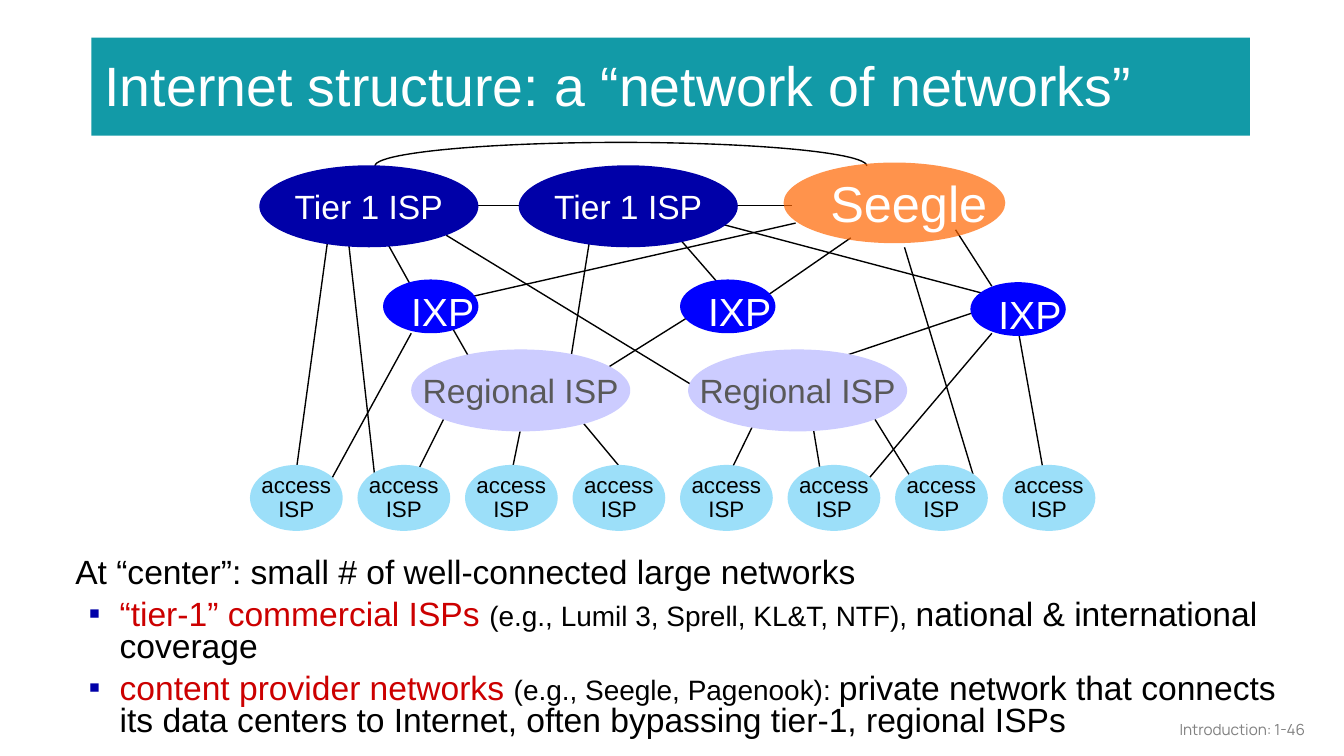
from lxml.etree import SubElement
from pptx import Presentation
from pptx.dml.color import RGBColor
from pptx.enum.shapes import MSO_CONNECTOR, MSO_SHAPE
from pptx.enum.text import MSO_ANCHOR, PP_ALIGN
from pptx.oxml.ns import qn
from pptx.util import Inches, Pt

COLORS = {
    "teal": "129AA7", "white": "FFFFFF", "black": "000000", "gray": "808080",
    "navy": "0000A8", "blue": "0000FF", "lavender": "CCCCFF", "slate": "595959",
    "sky": "9CDFF9", "orange": "FF6600", "red": "CC0000",
}


def color(name):
    return RGBColor.from_string(COLORS[name])


def add_box(kind, place, fill, lines, size=18, ink="white", font="Arial", **formats):
    """Add a shape, or a text box when kind is None; formats go to its paragraphs."""
    area = [Inches(value) for value in place]
    if kind is None:
        box = page.shapes.add_textbox(*area)
    else:
        box = page.shapes.add_shape(kind, *area)
        box.shadow.inherit = False
        box.line.fill.background()
        box.fill.solid()
        box.fill.fore_color.rgb = color(fill)
    frame = box.text_frame
    frame.word_wrap = False
    frame.vertical_anchor = MSO_ANCHOR.TOP if kind is None else MSO_ANCHOR.MIDDLE
    for number, line in enumerate(lines):
        para = frame.add_paragraph() if number else frame.paragraphs[0]
        for name, value in formats.items():
            setattr(para, name, value)
        span = para.add_run()
        span.text = line
        span.font.name, span.font.size = font, Pt(size)
        span.font.color.rgb = color(ink)
    return box


deck = Presentation()
deck.slide_width = Inches(10)
deck.slide_height = deck.slide_width * 9 // 16
page = deck.slides.add_slide(deck.slide_layouts[6])

# Title and page number
title = add_box(MSO_SHAPE.RECTANGLE, (0.68, 0.28, 8.62, 0.73), "teal",
                ["Internet structure: a “network of networks”"], 29.7,
                alignment=PP_ALIGN.LEFT)
title.text_frame.word_wrap = True
title.text_frame.vertical_anchor = MSO_ANCHOR.TOP
title.text_frame.margin_top = title.text_frame.margin_bottom = Inches(0.1)
footer = add_box(None, (7.56, 5.28, 2.25, 0.3), None, ["Introduction: 1-46"],
                 8.2, "gray", "Manrope", alignment=PP_ALIGN.RIGHT)
footer.text_frame.word_wrap = True
footer.text_frame.vertical_anchor = MSO_ANCHOR.MIDDLE

# Links between networks: x and y of the start, x and y of the end
links = [
    # tier 1 and content provider
    (3.96, 1.53, 3.52, 1.53), (5.89, 1.53, 5.45, 1.53),
    # tier 1 or provider to exchange points
    (2.86, 1.77, 3.06, 2.13), (5.05, 1.77, 5.39, 2.16), (5.34, 1.66, 7.34, 2.19),
    (5.92, 1.66, 3.32, 2.25), (6.33, 1.77, 5.65, 2.24), (7.11, 1.71, 7.38, 2.13),
    # tier 1 or exchange points to regional
    (4.39, 1.77, 4.25, 2.65), (3.32, 1.75, 5.19, 2.89), (3.32, 2.36, 3.52, 2.71),
    (5.12, 2.36, 4.45, 2.78), (7.32, 2.3, 6.25, 2.66),
    # down to access
    (2.46, 1.63, 2.21, 3.46), (2.59, 1.77, 2.8, 3.65), (6.73, 1.84, 7.24, 3.53),
    (3.06, 2.48, 2.42, 3.65), (7.38, 2.48, 6.38, 3.66), (7.58, 2.48, 7.78, 3.6),
    (3.3, 3.12, 3.06, 3.6), (3.87, 3.21, 3.79, 3.6), (4.25, 3.04, 4.6, 3.46),
    (5.62, 3.13, 5.39, 3.6), (6.05, 3.18, 6.12, 3.6), (6.51, 3.12, 6.85, 3.67),
]
for ends in links:
    link = page.shapes.add_connector(MSO_CONNECTOR.STRAIGHT,
                                     *[Inches(value) for value in ends])
    link.line.color.rgb = color("black")
    link.line.width = Pt(0.75)
    SubElement(link._element.spPr, qn("a:effectLst"))

arc = page.shapes.add_shape(MSO_SHAPE.ARC, Inches(2.79), Inches(1.06),
                            Inches(3.66), Inches(0.35))
arc.shadow.inherit = False
arc.adjustments[0], arc.adjustments[1] = 106.82, 0
arc.fill.background()
arc.line.color.rgb = color("black")
arc.line.width = Pt(0.75)

# Networks, tier by tier
for left in (1.93, 3.86):
    add_box(MSO_SHAPE.OVAL, (left, 1.23, 1.63, 0.61), "navy", ["Tier 1 ISP"],
            alignment=PP_ALIGN.CENTER)
for left in (3.06, 5.12):
    add_box(MSO_SHAPE.OVAL, (left, 2.6, 1.63, 0.61), "lavender", ["Regional ISP"],
            ink="slate", alignment=PP_ALIGN.CENTER)
for number in range(8):
    add_box(MSO_SHAPE.OVAL, (1.86 + 0.8 * number, 3.46, 0.69, 0.49), "sky",
            ["access", "ISP"], 12, "black",
            alignment=PP_ALIGN.CENTER, line_spacing=0.9)
for left, top in ((2.85, 2.08), (5.06, 2.08), (7.22, 2.1)):
    add_box(MSO_SHAPE.OVAL, (left, top, 0.71, 0.4), "blue", [])
    add_box(None, (left + 0.11, top + 0.01, 0.68, 0.45), None, ["IXP"], 21)

provider = add_box(MSO_SHAPE.OVAL, (5.83, 1.21, 1.65, 0.6), "orange", [])
tint = provider._element.spPr.find(qn("a:solidFill"))[0]
SubElement(tint, qn("a:alpha"), val="70000")
add_box(None, (6.08, 1.23, 1.42, 0.56), None, ["Seegle"], 27)

# Explanation: each paragraph is a list of text, size and colour
notes = [
    [("At “center”: small # of well-connected large networks", 18, "black")],
    [("“tier-1” commercial ISPs ", 18, "red"),
     ("(e.g., Lumil 3, Sprell, KL&T, NTF), ", 15, "black"),
     ("national & international coverage", 18, "black")],
    [("content provider networks ", 18, "red"),
     ("(e.g., Seegle, Pagenook): ", 15, "black"),
     ("private network that connects its data centers to Internet, "
      "often bypassing tier-1, regional ISPs", 18, "black")],
]
body = add_box(None, (0.44, 4.12, 9.25, 1.5), None, [])
frame = body.text_frame
frame.word_wrap = True
margins = {"margin_left": 0.07, "margin_right": 0.07,
           "margin_top": 0.04, "margin_bottom": 0.04}
for name, value in margins.items():
    setattr(frame, name, Inches(value))
for number, pieces in enumerate(notes):
    para = frame.add_paragraph() if number else frame.paragraphs[0]
    para.line_spacing = 0.8
    props = para._p.get_or_add_pPr()
    props.set("marL", str(Inches(0.38 if number else 0.05)))
    props.set("indent", str(Inches(-0.23 if number else 0)))
    if number:
        para.level = 1
        para.space_before = Pt(5)
        bullet_color = SubElement(props, qn("a:buClr"))
        SubElement(bullet_color, qn("a:srgbClr"), val=COLORS["navy"])
        SubElement(props, qn("a:buFont"), typeface="Arial")
        SubElement(props, qn("a:buChar"), char="▪")
    for text, size, ink in pieces:
        span = para.add_run()
        span.text = text
        span.font.name, span.font.size = "Arial", Pt(size)
        span.font.color.rgb = color(ink)

deck.save("out.pptx")
